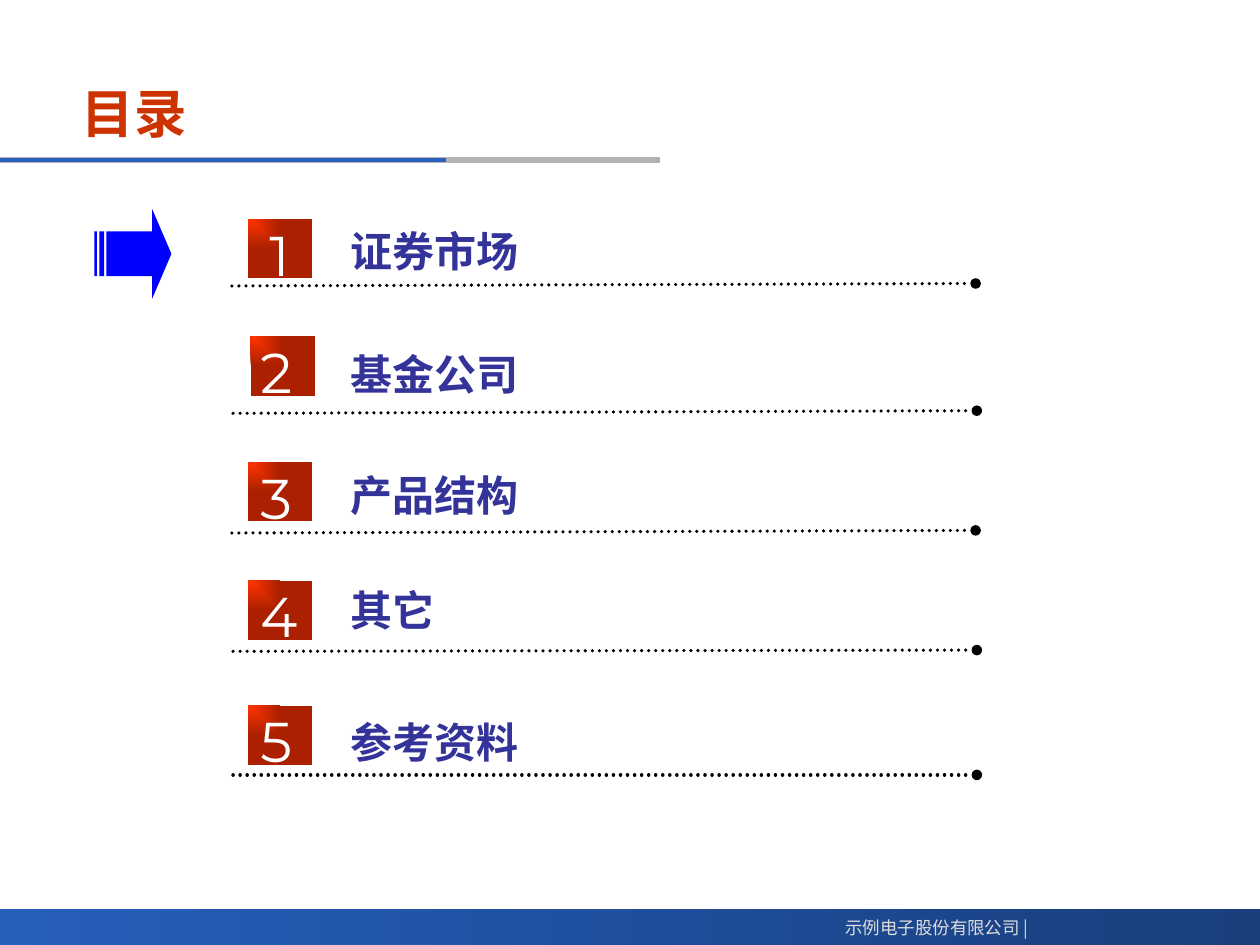
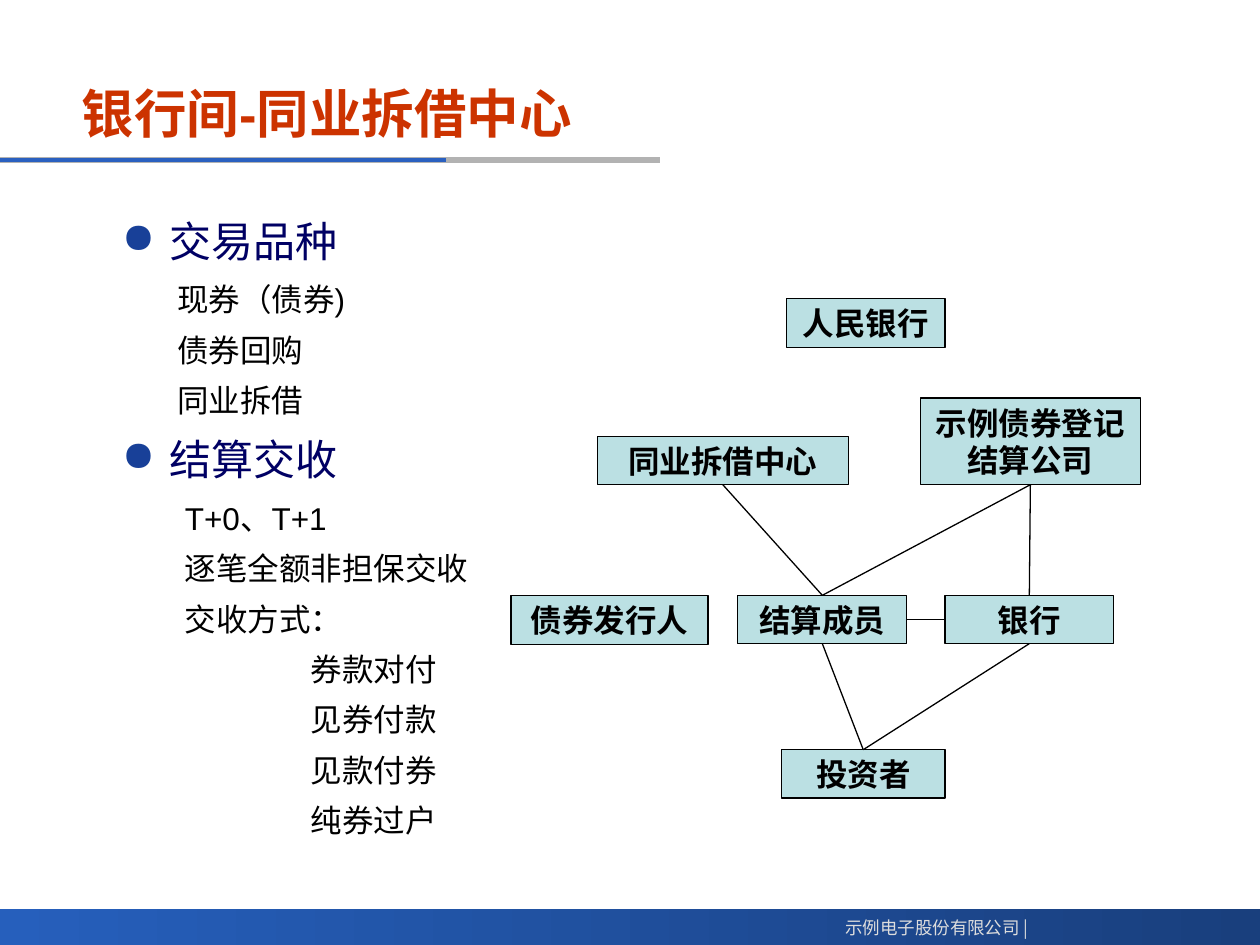
from lxml import etree
from pptx import Presentation
from pptx.dml.color import RGBColor
from pptx.enum.dml import MSO_LINE
from pptx.enum.shapes import MSO_CONNECTOR, MSO_SHAPE
from pptx.enum.text import MSO_ANCHOR, MSO_AUTO_SIZE, PP_ALIGN
from pptx.oxml.ns import qn
from pptx.util import Pt

RECT, ARROW = MSO_SHAPE.RECTANGLE, MSO_SHAPE.STRIPED_RIGHT_ARROW
STRAIGHT, DOTTED = MSO_CONNECTOR.STRAIGHT, MSO_LINE.ROUND_DOT
LEFT, CENTER, RIGHT = PP_ALIGN.LEFT, PP_ALIGN.CENTER, PP_ALIGN.RIGHT
TOP_ANCHOR, MIDDLE = MSO_ANCHOR.TOP, MSO_ANCHOR.MIDDLE
FIT_SHAPE = MSO_AUTO_SIZE.SHAPE_TO_FIT_TEXT

# Shared look
SLIDE_W, SLIDE_H = 720, 540
LATIN, CJK, DIGIT_FONT = "Arial", "Noto Sans CJK SC", "Montserrat"
COLORS = {
    "title": "CC3300", "rule_blue": "2A60C0", "rule_gray": "B2B2B2",
    "band_left": "265FBC", "band_right": "193F7D", "footer": "DDDDDD",
    "square_light": "FF3300", "square_dark": "AA2000", "digit": "FFFFFF",
    "chapter": "333399", "pointer": "0000FF", "topic": "000064",
    "bullet": "184098", "box": "BBE0E3", "black": "000000",
}
FOOTER = "示例电子股份有限公司 |"

# Contents slide: chapter, label top, square left and top, rule left, start y, end y
CONTENTS_TITLE = "目录"
CHAPTERS = [
    ("证券市场", 125.3, 141.8, 125.3, 132.5, 163.4, 162),
    ("基金公司", 195.8, 143.3, 192.3, 133.2, 236.2, 234.7),
    ("产品结构", 265, 141.8, 264.2, 132.5, 304.6, 303.1),
    ("其它", 330.5, 141.8, 331.9, 133.2, 372.2, 371.5),
    ("参考资料", 406.1, 141.8, 403.2, 133.2, 442.8, 442.8),
]

# Interbank slide: topics, each with its details and their indents
INTERBANK_TITLE = "银行间-同业拆借中心"
TOPICS = [
    ("交易品种", [(31.5, ["现券（债券)", "债券回购", "同业拆借"])]),
    ("结算交收", [
        (36, ["T+0、T+1", "逐笔全额非担保交收", "交收方式："]),
        (108, ["券款对付", "见券付款", "见款付券", "纯券过户"]),
    ]),
]
PARTIES = {
    "人民银行": (449.3, 170.6, 90.7, 28),
    "同业拆借中心": (341.3, 249.3, 143.5, 27.7),
    "示例债券登记结算公司": (525.8, 227.5, 126, 49.5),
    "债券发行人": (292, 340.2, 112.7, 28),
    "结算成员": (421.6, 340.2, 96.6, 27.6),
    "银行": (540, 340.2, 96.4, 27.6),
    "投资者": (446.5, 428.4, 93.6, 27.6),
}
TOP, SIDE_LEFT, BOTTOM, SIDE_RIGHT = range(4)
LINKS = [
    ("同业拆借中心", BOTTOM, "结算成员", TOP),
    ("示例债券登记结算公司", BOTTOM, "结算成员", TOP),
    ("示例债券登记结算公司", BOTTOM, "银行", TOP),
    ("结算成员", SIDE_RIGHT, "银行", SIDE_LEFT),
    ("结算成员", BOTTOM, "投资者", TOP),
    ("银行", BOTTOM, "投资者", TOP),
]


def rgb(color):
    return RGBColor.from_string(COLORS[color])


def add_node(parent, tag, **attributes):
    node = etree.SubElement(parent, qn(tag))
    for key, value in attributes.items():
        node.set(key, str(value))
    return node


def write(frame, text, size, color, font=LATIN, bold=False, align=LEFT,
          anchor=TOP_ANCHOR, wrap=True, new_paragraph=False):
    """Put one formatted paragraph into a text frame."""
    frame.word_wrap = wrap
    frame.vertical_anchor = anchor
    if not wrap:
        frame.auto_size = FIT_SHAPE
    paragraph = frame.add_paragraph() if new_paragraph else frame.paragraphs[0]
    paragraph.alignment = align
    run = paragraph.add_run()
    run.text = text
    run.font.name, run.font.size, run.font.bold = font, Pt(size), bold
    run.font.color.rgb = rgb(color)
    add_node(run.font._element, "a:ea", typeface=CJK)
    return paragraph


def text_box(slide, left, top, width, height):
    return slide.shapes.add_textbox(Pt(left), Pt(top), Pt(width), Pt(height)).text_frame


def add_shape(slide, kind, left, top, width, height, fill=None):
    shape = slide.shapes.add_shape(kind, Pt(left), Pt(top), Pt(width), Pt(height))
    shape.shadow.inherit = False
    shape.line.fill.background()
    if fill:
        shape.fill.solid()
        shape.fill.fore_color.rgb = rgb(fill)
    return shape


def shade(shape, start, end, from_corner=False):
    """Gradient from left to right, or spreading from the top left corner."""
    shape.fill.gradient()
    shape.fill.gradient_angle = 0
    for stop, color in zip(shape.fill.gradient_stops, (start, end)):
        stop.color.rgb = rgb(color)
    if from_corner:
        gradient = shape._element.spPr.find(qn("a:gradFill"))
        gradient.remove(gradient.find(qn("a:lin")))
        spread = add_node(gradient, "a:path", path="rect")
        add_node(spread, "a:fillToRect", l=0, t=0, r=100000, b=100000)


def add_line(slide, x1, y1, x2, y2, color="black", width=0.75):
    line = slide.shapes.add_connector(STRAIGHT, Pt(x1), Pt(y1), Pt(x2), Pt(y2))
    line.line.color.rgb = rgb(color)
    line.line.width = Pt(width)
    add_node(line._element.spPr, "a:effectLst")
    return line


def add_page(deck, title):
    """Blank slide with the footer band, title and title rule."""
    slide = deck.slides.add_slide(deck.slide_layouts[6])
    band = add_shape(slide, RECT, 0, 519.6, SLIDE_W, 20.4)
    shade(band, "band_left", "band_right")
    add_line(slide, 0, 91.4, 377, 91.4, "rule_gray", 3)
    add_line(slide, 0, 91.4, 255, 91.4, "rule_blue", 2.25)
    write(text_box(slide, 468.7, 520.6, 126, 19.4), FOOTER, 10, "footer",
          font=CJK, align=RIGHT, wrap=False)
    write(text_box(slide, 39.6, 40.3, 498, 48.2), title, 30, "title",
          bold=True, anchor=MIDDLE)
    return slide


def add_contents(deck):
    slide = add_page(deck, CONTENTS_TITLE)
    pointer = add_shape(slide, ARROW, 54, 119.5, 44, 51.1, "pointer")
    pointer.adjustments[0], pointer.adjustments[1] = 0.5, 0.25
    for number, chapter in enumerate(CHAPTERS, 1):
        name, label_top, square_left, square_top, rule_left, start_y, end_y = chapter
        square = add_shape(slide, RECT, square_left, square_top, 36.7, 33.8)
        shade(square, "square_light", "square_dark", from_corner=True)
        write(text_box(slide, 141.8, square_top - 2.9, 36, 45.4), str(number), 32,
              "digit", font=DIGIT_FONT, align=CENTER if number == 1 else LEFT, wrap=False)
        write(text_box(slide, 193, label_top, 193, 36), name, 24, "chapter", bold=True)
        rule = add_line(slide, rule_left, start_y, rule_left + 425, end_y, width=2)
        rule.line.dash_style = DOTTED
        stroke = rule._element.spPr.find(qn("a:ln"))
        stroke.set("cap", "rnd")
        add_node(stroke, "a:tailEnd", type="oval")


def set_layout(paragraph, indent, bullet=False):
    """Left indent, spacing of 20% on both sides and an optional bullet."""
    props = paragraph._p.get_or_add_pPr()
    props.set("marL", str(int(Pt(indent))))
    props.set("indent", str(int(Pt(-indent if bullet else 0))))
    for side in ("a:spcBef", "a:spcAft"):
        add_node(add_node(props, side), "a:spcPct", val=20000)
    if bullet:
        add_node(add_node(props, "a:buClr"), "a:srgbClr", val=COLORS["bullet"])
        add_node(props, "a:buChar", char="●")
    else:
        add_node(props, "a:buNone")


def add_interbank(deck):
    slide = add_page(deck, INTERBANK_TITLE)

    # Topics on the left
    body = text_box(slide, 62.6, 119.5, 598.3, 374.4)
    for index, (topic, groups) in enumerate(TOPICS):
        heading = write(body, topic, 24, "topic", new_paragraph=index > 0)
        set_layout(heading, 27, bullet=True)
        for indent, details in groups:
            for detail in details:
                set_layout(write(body, detail, 18, "black", new_paragraph=True), indent)

    # Parties and their links on the right
    boxes = {}
    for party, place in PARTIES.items():
        box = boxes[party] = add_shape(slide, RECT, *place, fill="box")
        box.line.color.rgb = rgb("black")
        box.line.width = Pt(0.75)
        write(box.text_frame, party, 18, "black", bold=True, align=CENTER, anchor=MIDDLE)
    for source, source_side, target, target_side in LINKS:
        link = add_line(slide, 0, 0, 0, 0)
        link.begin_connect(boxes[source], source_side)
        link.end_connect(boxes[target], target_side)


def main():
    deck = Presentation()
    deck.slide_width, deck.slide_height = Pt(SLIDE_W), Pt(SLIDE_H)
    add_contents(deck)
    add_interbank(deck)
    deck.save("out.pptx")


if __name__ == "__main__":
    main()
